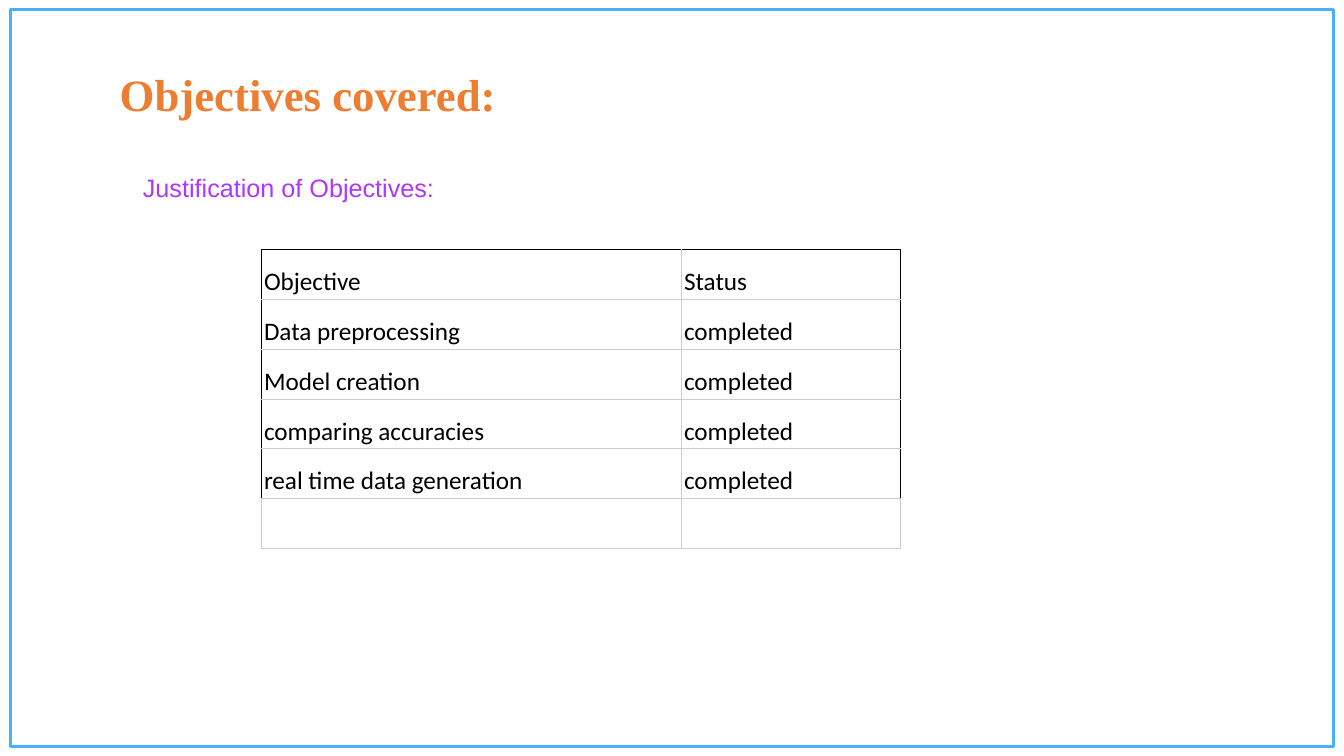
from pptx import Presentation
from pptx.dml.color import RGBColor
from pptx.enum.shapes import MSO_SHAPE
from pptx.enum.text import MSO_ANCHOR as Anchor
from pptx.oxml import parse_xml
from pptx.oxml.ns import nsdecls
from pptx.util import Pt

BLACK, GRAY, WHITE = "000000", "CCCCCC", "FFFFFF"
OBJECTIVES = [
    ("Objective", "Status"),
    ("Data preprocessing", "completed"),
    ("Model creation", "completed"),
    ("comparing accuracies", "completed"),
    ("real time data generation", "completed"),
    ("", ""),
]


def color(code):
    """Turn a hex string into a colour."""
    return RGBColor.from_string(code)


def write(frame, text, font="Arial", size=18, fill=BLACK, bold=False):
    """Put one formatted paragraph into a text frame."""
    para = frame.paragraphs[0]
    para.font.size = Pt(size)
    if text:
        span = para.add_run()
        span.text = text
        span.font.name = font
        span.font.size = Pt(size)
        span.font.bold = bold
        span.font.color.rgb = color(fill)


def add_frame(page, left, top, width, height):
    """Draw the outline around the page."""
    outline = page.shapes.add_shape(
        MSO_SHAPE.RECTANGLE, Pt(left), Pt(top), Pt(width), Pt(height))
    outline.shadow.inherit = False
    outline.fill.background()
    outline.line.color.rgb = color("46B0F9")
    outline.line.width = Pt(2.25)


def add_text(page, text, left, top, width, height, **style):
    """Add a wrapping text box."""
    box = page.shapes.add_textbox(Pt(left), Pt(top), Pt(width), Pt(height))
    box.text_frame.word_wrap = True
    write(box.text_frame, text, **style)


def add_border(cell, side, code):
    """Draw one thin border of a cell."""
    cell._tc.get_or_add_tcPr().append(parse_xml(
        f'<a:ln{side} {nsdecls("a")} w="{Pt(0.6)}"><a:solidFill>'
        f'<a:srgbClr val="{code}"/></a:solidFill></a:ln{side}>'))


def add_table(page, rows, left, top, widths, row_height):
    """Add the table, with black outer edges around its filled rows."""
    table = page.shapes.add_table(
        len(rows), len(widths), Pt(left), Pt(top),
        Pt(sum(widths)), Pt(row_height * len(rows))).table
    table.first_row = table.horz_banding = False
    for column, width in zip(table.columns, widths):
        column.width = Pt(width)
    for r, values in enumerate(rows):
        table.rows[r].height = Pt(row_height)
        for c, text in enumerate(values):
            cell = table.cell(r, c)
            cell.vertical_anchor = Anchor.BOTTOM
            cell.margin_left = cell.margin_right = Pt(2)
            cell.margin_top = cell.margin_bottom = Pt(1.5)
            write(cell.text_frame, text, font="Calibri")
            outer = {"L": c == 0, "R": c == len(widths) - 1,
                     "T": r == 0, "B": False}
            for side, is_outer in outer.items():
                add_border(cell, side, BLACK if is_outer and text else GRAY)
            cell.fill.background()


def main():
    """Build the slide and save it."""
    deck = Presentation()
    deck.slide_width, deck.slide_height = Pt(960), Pt(540)
    page = deck.slides.add_slide(deck.slide_layouts[6])
    page.background.fill.solid()
    page.background.fill.fore_color.rgb = color(WHITE)
    add_frame(page, 7.8, 6.8, 944.6, 526.4)
    add_text(page, "Objectives covered:", 78.4, 44, 780, 46,
             font="Times New Roman", size=32, fill="ED7D31", bold=True)
    add_table(page, OBJECTIVES, 186.6, 178.4, [300, 156.6], 35.55)
    add_text(page, "Justification of Objectives:", 95, 119.8, 480, 29,
             fill="AE36FF")
    deck.save("out.pptx")


if __name__ == "__main__":
    main()
